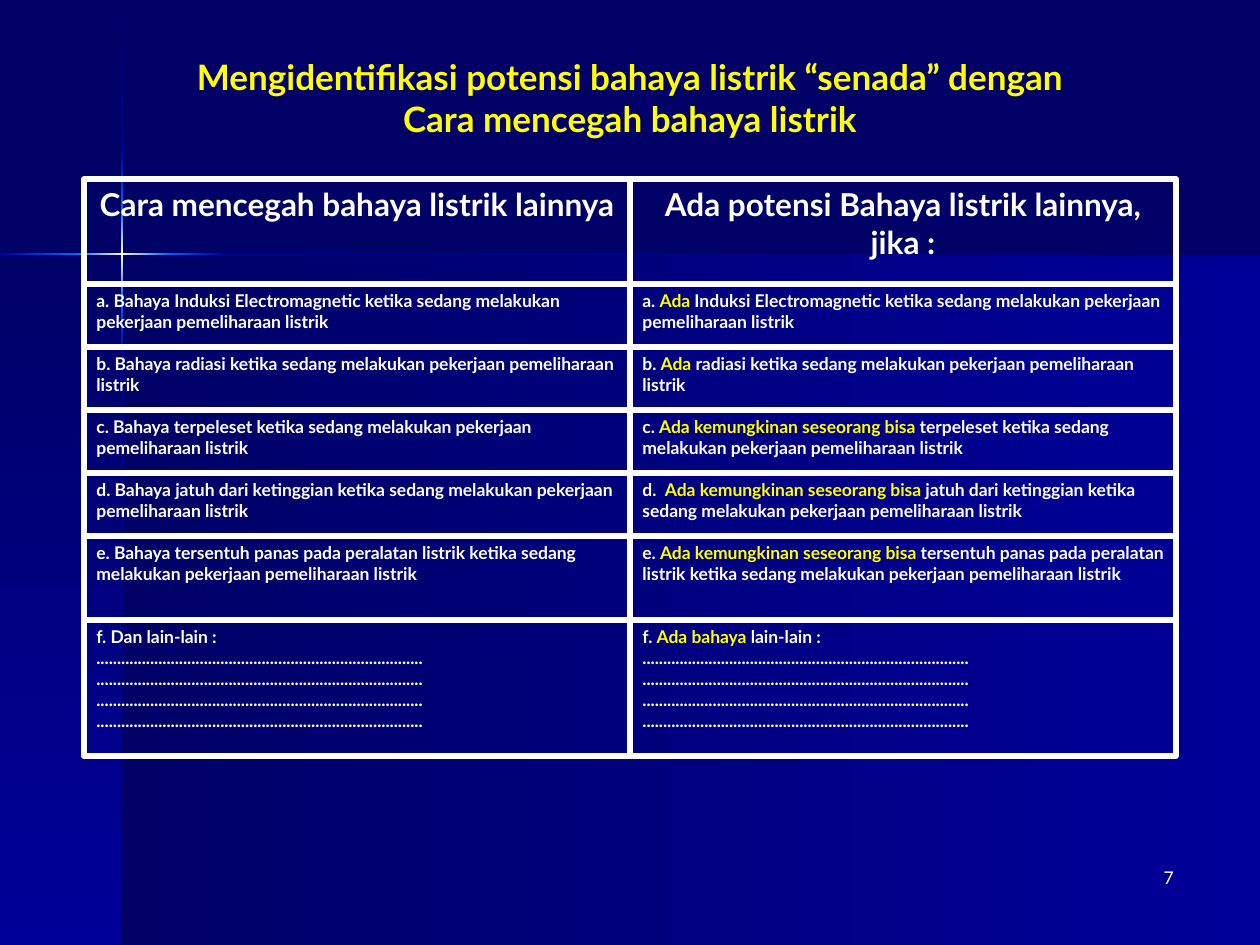
from copy import deepcopy
from itertools import accumulate

from pptx import Presentation
from pptx.dml.color import RGBColor
from pptx.enum.shapes import MSO_SHAPE
from pptx.enum.text import MSO_ANCHOR, MSO_AUTO_SIZE, PP_ALIGN
from pptx.oxml.ns import qn
from pptx.util import Emu, Pt

RECTANGLE = MSO_SHAPE.RECTANGLE
TOP = MSO_ANCHOR.TOP
NO_AUTOFIT = MSO_AUTO_SIZE.NONE
LEFT, CENTER, RIGHT = PP_ALIGN.LEFT, PP_ALIGN.CENTER, PP_ALIGN.RIGHT

EMU_PER_INCH = 914400
PX_PER_INCH = 126
ACROSS, DOWN = 0, 270

COLORS = {
    "night": "000066",
    "blue": "000099",
    "glow": "0066FF",
    "spark": "FFFFCC",
    "white": "FFFFFF",
    "yellow": "FFFF00",
}

FORMATS = {
    "title": {"name": "Lato", "size": Pt(20), "bold": True},
    "header": {"name": "Lato", "size": Pt(18), "bold": True},
    "item": {"name": "Lato", "size": Pt(10), "bold": True},
    "page": {"name": "Lato", "size": Pt(10), "bold": False},
}

TITLE = ["Mengidentifikasi potensi bahaya listrik “senada” dengan",
         "Cara mencegah bahaya listrik"]
HEADERS = ["Cara mencegah bahaya listrik lainnya",
           "Ada potensi Bahaya listrik lainnya, jika :"]
POSSIBLE = "Ada kemungkinan seseorang bisa "
HAZARDS = [
    ("a. ", "Bahaya", "Ada",
     " Induksi Electromagnetic ketika sedang melakukan pekerjaan pemeliharaan listrik"),
    ("b. ", "Bahaya", "Ada",
     " radiasi ketika sedang melakukan pekerjaan pemeliharaan listrik"),
    ("c. ", "Bahaya ", POSSIBLE,
     "terpeleset ketika sedang melakukan pekerjaan pemeliharaan listrik"),
    ("d. ", "Bahaya ", POSSIBLE,
     "jatuh dari ketinggian ketika sedang melakukan pekerjaan pemeliharaan listrik"),
    ("e. ", "Bahaya ", POSSIBLE,
     "tersentuh panas pada peralatan listrik ketika sedang melakukan pekerjaan "
     "pemeliharaan listrik"),
    ("f. ", "Dan ", "Ada bahaya ", "lain-lain :"),
]
ANSWER_LINES = ["." * 79] * 4
GRID_LEFT, GRID_TOP, COLUMN_WIDTH = 84, 179, 546
ROW_HEIGHTS = [105, 63, 63, 63, 63, 84, 136]
ROW_TOPS = list(accumulate(ROW_HEIGHTS, initial=GRID_TOP))

PANELS = [
    (122, 255, 1138, 690, ["night", "blue"], ACROSS),
    (0, 255, 122, 690, ["night", "blue"], DOWN),
]
VERTICAL_BEAM = [
    (1, 152, ["night", "blue"]),
    (152, 208, ["blue", "glow"]),
    (208, 300, ["glow", "spark", "glow"]),
    (300, 355, ["glow", "blue"]),
    (355, 945, ["blue", "night"]),
]
HORIZONTAL_BEAM = [
    (0, 76, ["blue", "glow"]),
    (76, 168, ["glow", "spark", "glow"]),
    (168, 223, ["glow", "blue"]),
    (223, 1260, ["blue", "night"]),
]


def px(length):
    return Emu(round(length * EMU_PER_INCH / PX_PER_INCH))


def rgb(color):
    return RGBColor.from_string(COLORS[color])


def add_rectangle(slide, left, top, width, height):
    rectangle = slide.shapes.add_shape(RECTANGLE, px(left), px(top), px(width), px(height))
    rectangle.shadow.inherit = False
    return rectangle


def add_gradient_band(slide, left, top, width, height, colors, angle):
    band = add_rectangle(slide, left, top, width, height)
    band.line.fill.background()
    band.fill.gradient()
    band.fill.gradient_angle = angle
    stop_list = band._element.spPr.find(qn("a:gradFill")).find(qn("a:gsLst"))
    for _ in colors[2:]:
        stop_list.insert(1, deepcopy(stop_list[0]))
    for index, (stop, color) in enumerate(zip(band.fill.gradient_stops, colors)):
        stop.position = index / (len(colors) - 1)
        stop.color.rgb = rgb(color)


def add_backdrop(slide):
    slide.background.fill.solid()
    slide.background.fill.fore_color.rgb = rgb("night")
    for panel in PANELS:
        add_gradient_band(slide, *panel)
    for start, end, colors in VERTICAL_BEAM:
        add_gradient_band(slide, 121, start, 2, end - start, colors, DOWN)
    for start, end, colors in HORIZONTAL_BEAM:
        add_gradient_band(slide, start, 253, end - start, 2, colors, ACROSS)


def write_paragraphs(frame, paragraphs, style, alignment):
    for index, runs in enumerate(paragraphs):
        paragraph = frame.add_paragraph() if index else frame.paragraphs[0]
        paragraph.alignment = alignment
        for words, color in runs:
            run = paragraph.add_run()
            run.text = words
            run.font.color.rgb = rgb(color)
            for attribute, value in FORMATS[style].items():
                setattr(run.font, attribute, value)


def place_title(slide):
    title = slide.shapes.title
    title.left, title.top, title.width, title.height = map(px, (105, 49, 1050, 97))
    title.text_frame.auto_size = NO_AUTOFIT
    title.text_frame.vertical_anchor = TOP
    write_paragraphs(title.text_frame, [[(line, "yellow")] for line in TITLE],
                     "title", CENTER)
    slide.shapes._spTree.append(title._element)


def add_cell(slide, row, column, paragraphs, style, alignment):
    cell = add_rectangle(slide, GRID_LEFT + column * COLUMN_WIDTH, ROW_TOPS[row],
                         COLUMN_WIDTH, ROW_HEIGHTS[row])
    cell.fill.background()
    cell.line.color.rgb = rgb("white")
    cell.line.width = Pt(3)
    cell.text_frame.word_wrap = True
    cell.text_frame.vertical_anchor = TOP
    write_paragraphs(cell.text_frame, paragraphs, style, alignment)


def add_hazard_grid(slide):
    for column, header in enumerate(HEADERS):
        add_cell(slide, 0, column, [[(header, "white")]], "header", CENTER)
    for row, (letter, prevention, potential, hazard) in enumerate(HAZARDS, 1):
        answers = ANSWER_LINES if row == len(HAZARDS) else []
        answer_paragraphs = [[(line, "white")] for line in answers]
        gap = " " if letter == "d. " else ""
        prevention_runs = [(letter + prevention + hazard, "white")]
        potential_runs = [(letter + gap, "white"), (potential, "yellow"),
                          (hazard, "white")]
        for column, runs in enumerate((prevention_runs, potential_runs)):
            add_cell(slide, row, column, [runs] + answer_paragraphs, "item", LEFT)


def add_page_number(slide):
    page = slide.shapes.add_textbox(px(924), px(861), px(262), px(63))
    page.text_frame.word_wrap = True
    write_paragraphs(page.text_frame, [[("7", "white")]], "page", RIGHT)


def main():
    deck = Presentation()
    deck.slide_width, deck.slide_height = px(1260), px(945)
    slide = deck.slides.add_slide(deck.slide_layouts[5])
    add_backdrop(slide)
    place_title(slide)
    add_hazard_grid(slide)
    add_page_number(slide)
    deck.save("out.pptx")


if __name__ == "__main__":
    main()
